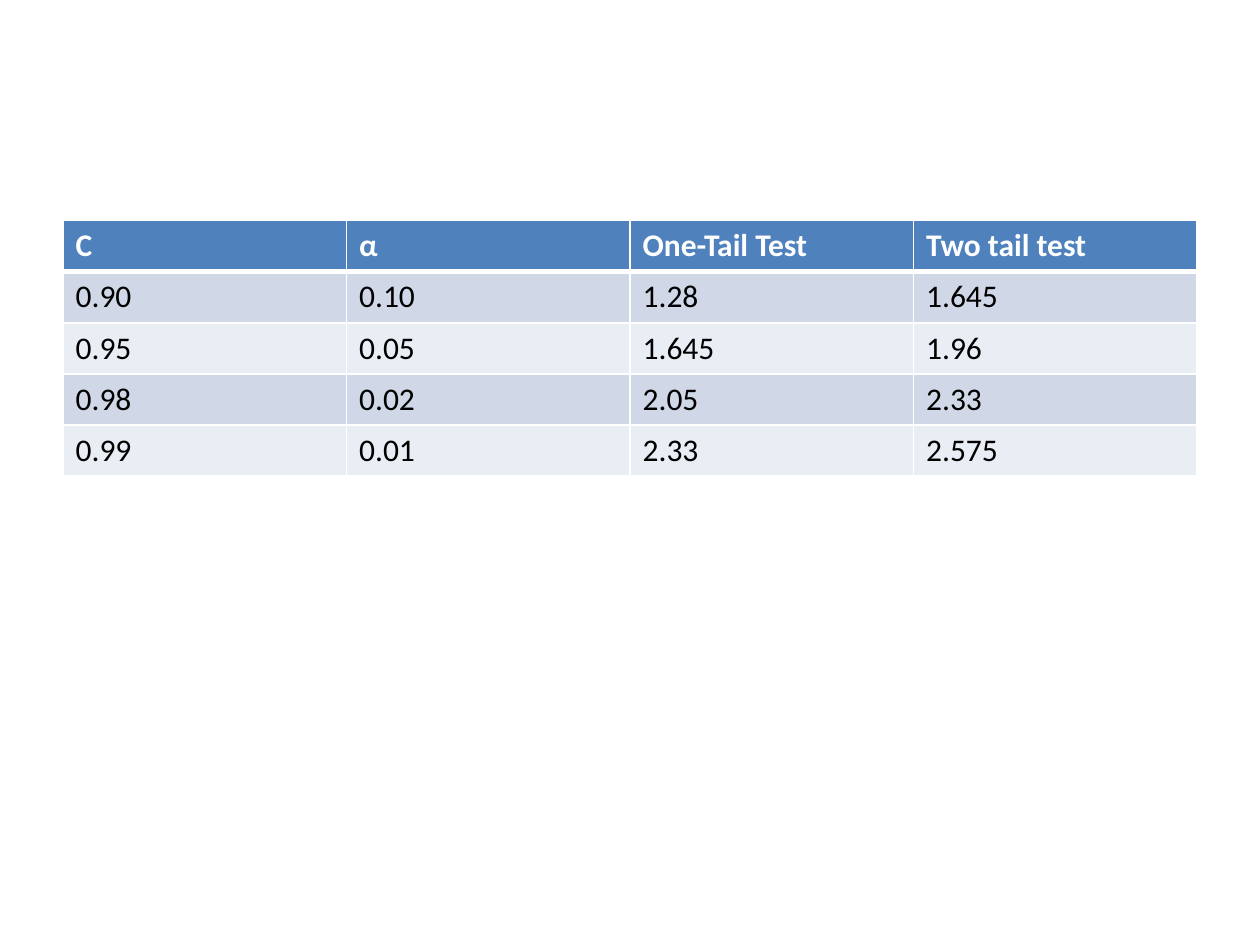
from lxml.etree import SubElement as Sub
from pptx import Presentation
from pptx.dml.color import RGBColor as RGB
from pptx.oxml.ns import qn
from pptx.util import Inches, Pt

COLORS = {
    "head": "4F81BD",
    "dark": "D0D8E8",
    "light": "E9EDF4",
    "white": "FFFFFF",
    "black": "000000",
}
ROWS = [
    ("C", "α", "One-Tail Test", "Two tail test"),
    ("0.90", "0.10", "1.28", "1.645"),
    ("0.95", "0.05", "1.645", "1.96"),
    ("0.98", "0.02", "2.05", "2.33"),
    ("0.99", "0.01", "2.33", "2.575"),
]


def add_edge(cell, side, width):
    """Draw one white cell border; side is L, R, T or B."""
    props = cell._tc.get_or_add_tcPr()
    line = Sub(props, qn(f"a:ln{side}"), w=str(Pt(width)))
    fill = Sub(line, qn("a:solidFill"))
    Sub(fill, qn("a:srgbClr"), val=COLORS["white"])


prs = Presentation()
prs.slide_width = Inches(10)
prs.slide_height = Inches(7.5)
slide = prs.slides.add_slide(prs.slide_layouts[6])

frame = slide.shapes.add_table(
    len(ROWS), len(ROWS[0]), Inches(0.5), Inches(1.75), Inches(9), Inches(2.03)
)
table = frame.table

for r, row in enumerate(ROWS):
    head = r == 0
    band = "head" if head else "dark" if r % 2 else "light"
    for c, text in enumerate(row):
        cell = table.cell(r, c)
        for side in "LRTB":
            thick = (r, side) in [(0, "B"), (1, "T")]
            add_edge(cell, side, 3 if thick else 1)
        cell.fill.solid()
        cell.fill.fore_color.rgb = RGB.from_string(COLORS[band])
        cell.text = text
        font = cell.text_frame.paragraphs[0].font
        font.name = "Calibri"
        font.size = Pt(18)
        font.bold = head
        font.color.rgb = RGB.from_string(COLORS["white" if head else "black"])

prs.save("out.pptx")
